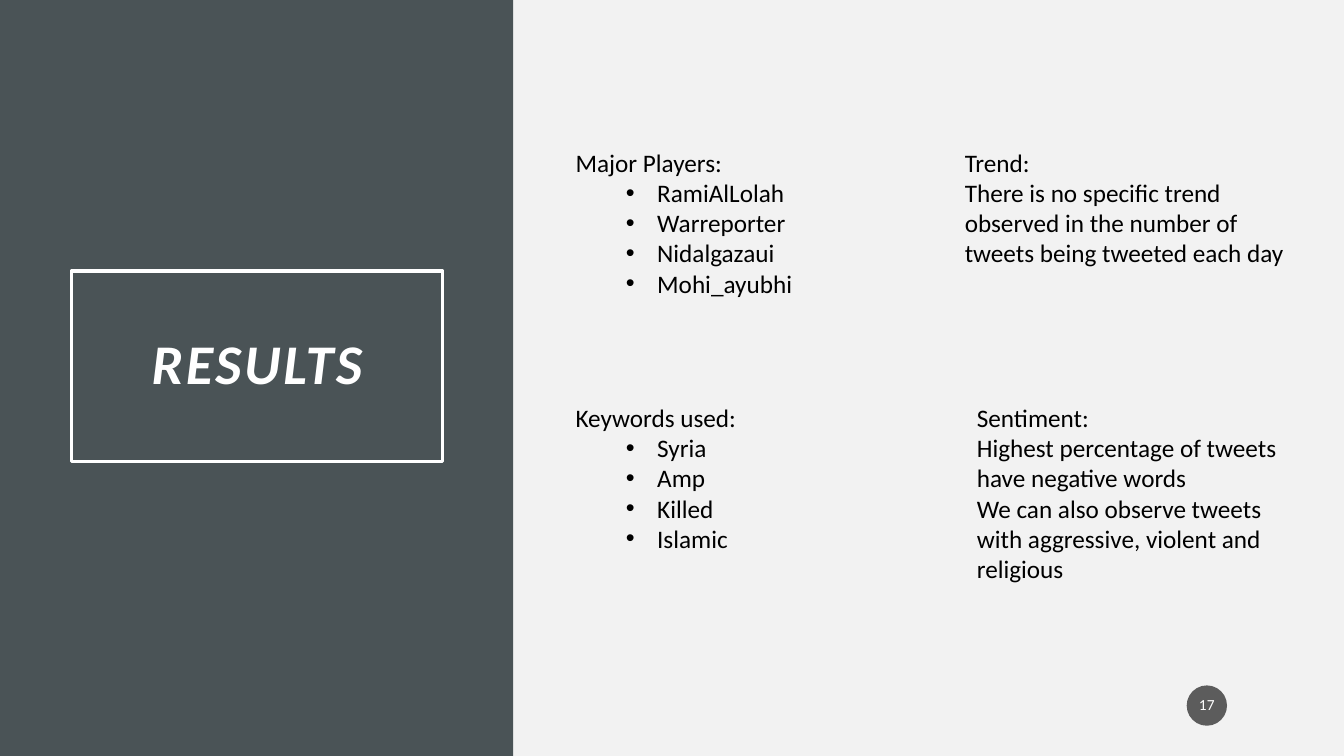
from dataclasses import dataclass

from lxml import etree
from pptx import Presentation
from pptx.dml.color import RGBColor
from pptx.enum.shapes import MSO_SHAPE
from pptx.enum.text import MSO_ANCHOR, MSO_AUTO_SIZE, PP_ALIGN
from pptx.oxml.ns import qn
from pptx.util import Inches, Pt

RECTANGLE, OVAL = MSO_SHAPE.RECTANGLE, MSO_SHAPE.OVAL
TOP, MIDDLE = MSO_ANCHOR.TOP, MSO_ANCHOR.MIDDLE
LEFT, CENTER = PP_ALIGN.LEFT, PP_ALIGN.CENTER
NO_AUTOFIT = MSO_AUTO_SIZE.NONE
TITLE_ONLY = 5


@dataclass(frozen=True)
class Theme:
    font: str = "Calibri"
    background: str = "F2F2F2"
    panel: str = "4A5356"
    badge: str = "1D1D1D"
    light: str = "FFFFFF"
    text: str = "000000"
    title_size: int = 40
    body_size: int = 18
    number_size: int = 11


def color(value):
    return RGBColor.from_string(value)


def write(paragraph, text, *, font, size, fill, align=LEFT, bold=False,
          italic=False, line_spacing=1.0, space_after=0, tracking=0):
    """Add one formatted run to a paragraph."""
    paragraph.alignment = align
    paragraph.line_spacing = line_spacing
    paragraph.space_before = Pt(0)
    paragraph.space_after = Pt(space_after)
    run = paragraph.add_run()
    run.text = text
    run.font.name = font
    run.font.size = Pt(size)
    run.font.bold = bold
    run.font.italic = italic
    run.font.color.rgb = color(fill)
    if tracking:
        run.font._element.set("spc", str(tracking * 100))


def add_bullet(paragraph):
    paragraph.level = 1
    properties = paragraph._p.get_or_add_pPr()
    properties.set("marL", str(Inches(0.81)))
    properties.set("indent", str(Inches(-0.31)))
    etree.SubElement(properties, qn("a:buFont")).set("typeface", "Arial")
    etree.SubElement(properties, qn("a:buChar")).set("char", "•")


def set_frame(frame, anchor, horizontal, vertical):
    frame.word_wrap = True
    frame.auto_size = NO_AUTOFIT
    frame.vertical_anchor = anchor
    frame.margin_left = frame.margin_right = Inches(horizontal)
    frame.margin_top = frame.margin_bottom = Inches(vertical)


class SlideBuilder:
    def __init__(self, slide, theme):
        self.slide = slide
        self.theme = theme
        slide.background.fill.solid()
        slide.background.fill.fore_color.rgb = color(theme.background)

    def shape(self, kind, box, fill, opacity=100):
        shape = self.slide.shapes.add_shape(kind, *map(Inches, box))
        shape.shadow.inherit = False
        shape.fill.solid()
        shape.fill.fore_color.rgb = color(fill)
        shape.line.fill.background()
        if opacity < 100:
            rgb = shape.fill._xPr.find(".//" + qn("a:srgbClr"))
            etree.SubElement(rgb, qn("a:alpha")).set("val", str(opacity * 1000))
        return shape

    def title(self, text, box):
        title = self.slide.shapes.title
        title.left, title.top, title.width, title.height = map(Inches, box)
        title.line.color.rgb = color(self.theme.light)
        title.line.width = Pt(2.5)
        set_frame(title.text_frame, MIDDLE, 0.2, 0.2)
        write(title.text_frame.paragraphs[0], text, font=self.theme.font,
              size=self.theme.title_size, fill=self.theme.light, align=CENTER,
              bold=True, italic=True, line_spacing=0.9, tracking=2)
        # Bring the title in front of the side panel
        self.slide.shapes._spTree.append(title._element)

    def number_badge(self, text, box):
        badge = self.shape(OVAL, box, self.theme.badge, opacity=70)
        set_frame(badge.text_frame, MIDDLE, 0.02, 0.05)
        write(badge.text_frame.paragraphs[0], text, font=self.theme.font,
              size=self.theme.number_size, fill=self.theme.light,
              align=CENTER, line_spacing=0.9, space_after=6)

    def text_block(self, box, heading, lines, bulleted):
        frame = self.slide.shapes.add_textbox(*map(Inches, box)).text_frame
        set_frame(frame, TOP, 0.1, 0.05)
        style = dict(font=self.theme.font, size=self.theme.body_size,
                     fill=self.theme.text)
        write(frame.paragraphs[0], heading, **style)
        for line in lines:
            paragraph = frame.add_paragraph()
            write(paragraph, line, **style)
            if bulleted:
                add_bullet(paragraph)


def main():
    presentation = Presentation()
    presentation.slide_width = Inches(13.33)
    presentation.slide_height = Inches(7.5)
    theme = Theme()
    slide = presentation.slides.add_slide(presentation.slide_layouts[TITLE_ONLY])
    builder = SlideBuilder(slide, theme)

    # Side panel, title and slide number
    builder.shape(RECTANGLE, (0, 0, 5.09, 7.5), theme.panel)
    builder.title("RESULTS", (0.71, 2.69, 3.68, 1.89))
    builder.number_badge("17", (11.77, 6.8, 0.4, 0.4))

    # Findings: left, top, height, heading, lines, bulleted
    upper, lower, width = 1.41, 3.94, 3.45
    findings = [
        (5.61, upper, 2.22, "Major Players:",
         ["RamiAlLolah", "Warreporter", "Nidalgazaui", "Mohi_ayubhi"], True),
        (5.61, lower, 2.22, "Keywords used:",
         ["Syria", "Amp", "Killed", "Islamic"], True),
        (9.47, upper, 1.31, "Trend:",
         ["There is no specific trend observed in the number of tweets "
          "being tweeted each day"], False),
        (9.59, lower, 1.92, "Sentiment:",
         ["Highest percentage of tweets have negative words",
          "We can also observe tweets with aggressive, violent and religious"],
         False),
    ]
    for left, top, height, heading, lines, bulleted in findings:
        builder.text_block((left, top, width, height), heading, lines, bulleted)

    presentation.save("out.pptx")


if __name__ == "__main__":
    main()
